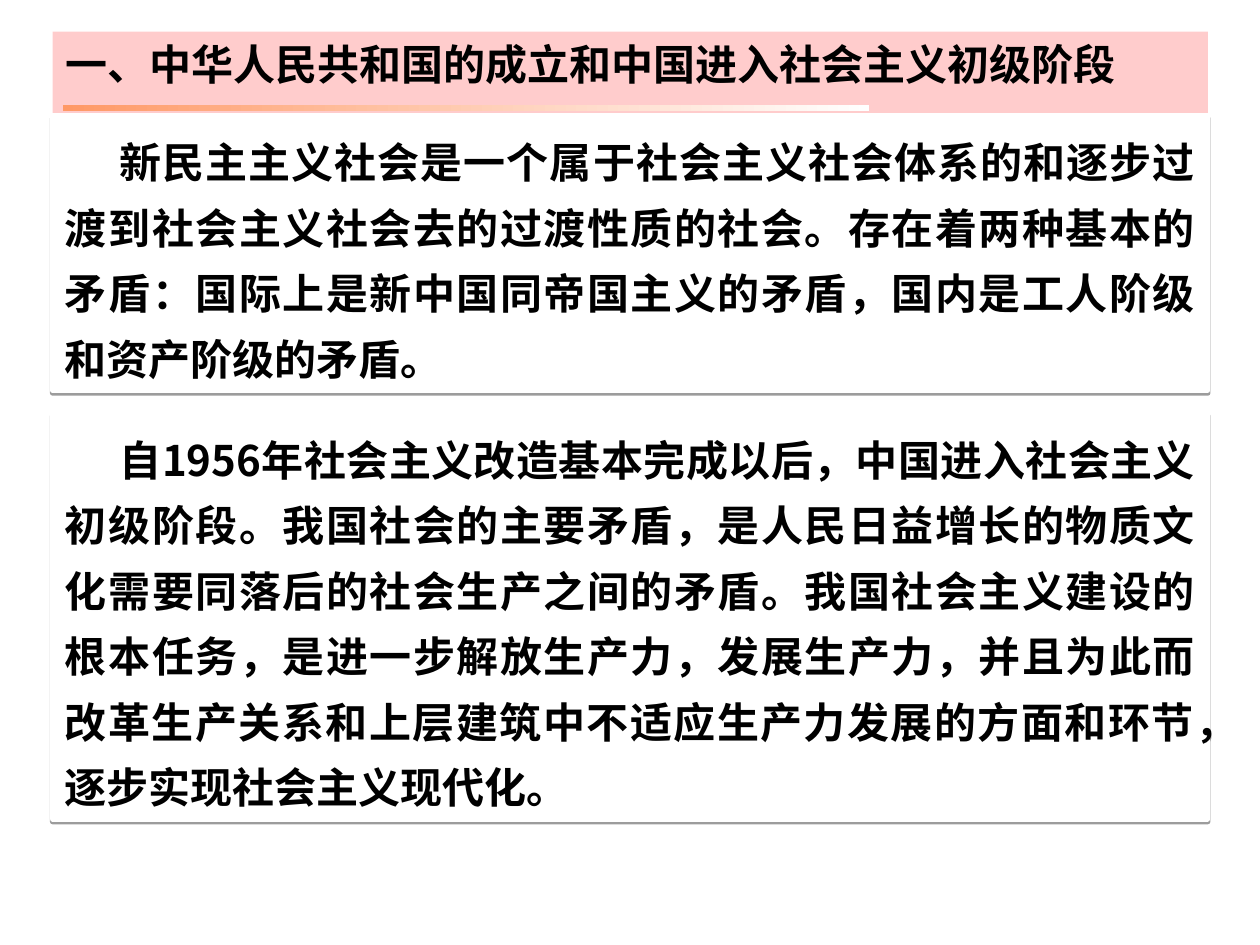
from pptx import Presentation
from pptx.dml.color import RGBColor
from pptx.enum.shapes import MSO_SHAPE
from pptx.enum.text import MSO_ANCHOR, MSO_AUTO_SIZE, PP_ALIGN
from pptx.oxml.ns import qn
from pptx.util import Cm, Pt
from lxml import etree

RECT = MSO_SHAPE.RECTANGLE
TOP = MSO_ANCHOR.TOP
FIT = MSO_AUTO_SIZE.SHAPE_TO_FIT_TEXT
LEFT, JUSTIFY = PP_ALIGN.LEFT, PP_ALIGN.JUSTIFY

FONT = "Noto Sans CJK SC"
MARGIN, WIDTH = Cm(1.06), Cm(23.29)
TITLE = "一、中华人民共和国的成立和中国进入社会主义初级阶段"
PANELS = [
    (Cm(2.33), Cm(5.54),
     "新民主主义社会是一个属于社会主义社会体系的和逐步过渡到社会主义社会去的过渡性质的社会。"
     "存在着两种基本的矛盾：国际上是新中国同帝国主义的矛盾，国内是工人阶级和资产阶级的矛盾。"),
    (Cm(8.33), Cm(8.18),
     "自1956年社会主义改造基本完成以后，中国进入社会主义初级阶段。"
     "我国社会的主要矛盾，是人民日益增长的物质文化需要同落后的社会生产之间的矛盾。"
     "我国社会主义建设的根本任务，是进一步解放生产力，发展生产力，"
     "并且为此而改革生产关系和上层建筑中不适应生产力发展的方面和环节，逐步实现社会主义现代化。"),
]


def color(value):
    """Turn a hex string into a colour."""
    return RGBColor.from_string(value)


def fill_solid(sp, value):
    """Give a shape a plain fill."""
    sp.fill.solid()
    sp.fill.fore_color.rgb = color(value)


def set_text(sp, text, align):
    """Write one bold paragraph into a shape and return it."""
    tf = sp.text_frame
    tf.text = text
    tf.word_wrap = True
    tf.auto_size = FIT
    tf.vertical_anchor = TOP
    p = tf.paragraphs[0]
    p.alignment = align
    r = p.runs[0]
    r.font.size = Pt(24)
    r.font.bold = True
    r.font.name = FONT
    r.font.color.rgb = color("000000")
    ea = etree.SubElement(r.font._element, qn("a:ea"))
    ea.set("typeface", FONT)
    return p


def add_shadow(sp):
    """Cast a thin grey shadow straight down."""
    sp.shadow.inherit = False
    effects = sp._element.spPr.find(qn("a:effectLst"))
    shadow = etree.SubElement(effects, qn("a:outerShdw"), blurRad="0",
                              dist=str(Pt(1.6)), dir="5400000",
                              algn="t", rotWithShape="0")
    clr = etree.SubElement(shadow, qn("a:srgbClr"), val="000000")
    etree.SubElement(clr, qn("a:alpha"), val="38000")


def format_title(s):
    """Place the title on its pink band."""
    sp = s.shapes.title
    sp.left, sp.top, sp.width, sp.height = MARGIN, Cm(0.64), WIDTH, Cm(1.28)
    fill_solid(sp, "FFCCCC")
    set_text(sp, TITLE, LEFT)


def add_rule(s):
    """Add the orange bar that fades out to the right."""
    sp = s.shapes.add_shape(RECT, Cm(1.27), Cm(2.11), Cm(16.26), Cm(0.13))
    sp.shadow.inherit = False
    sp.line.fill.background()
    sp.fill.gradient()
    sp.fill.gradient_angle = 0
    for stop, value in zip(sp.fill.gradient_stops, ("FF9966", "FFFFFF")):
        stop.color.rgb = color(value)


def add_panel(s, top, height, text):
    """Add a white shadowed panel with an indented paragraph."""
    sp = s.shapes.add_shape(RECT, MARGIN, top, WIDTH, height)
    fill_solid(sp, "FFFFFF")
    sp.line.color.rgb = color("FFFFFF")
    sp.line.width = Pt(3)
    add_shadow(sp)
    p = set_text(sp, text, JUSTIFY)
    p.line_spacing = 1.3
    p._p.get_or_add_pPr().set("indent", str(Cm(1.1)))


def main():
    """Build and save the slide."""
    prs = Presentation()
    prs.slide_width, prs.slide_height = Cm(25.4), Cm(19.05)
    s = prs.slides.add_slide(prs.slide_layouts[5])
    format_title(s)
    add_rule(s)
    for top, height, text in PANELS:
        add_panel(s, top, height, text)
    prs.save("out.pptx")


if __name__ == "__main__":
    main()
